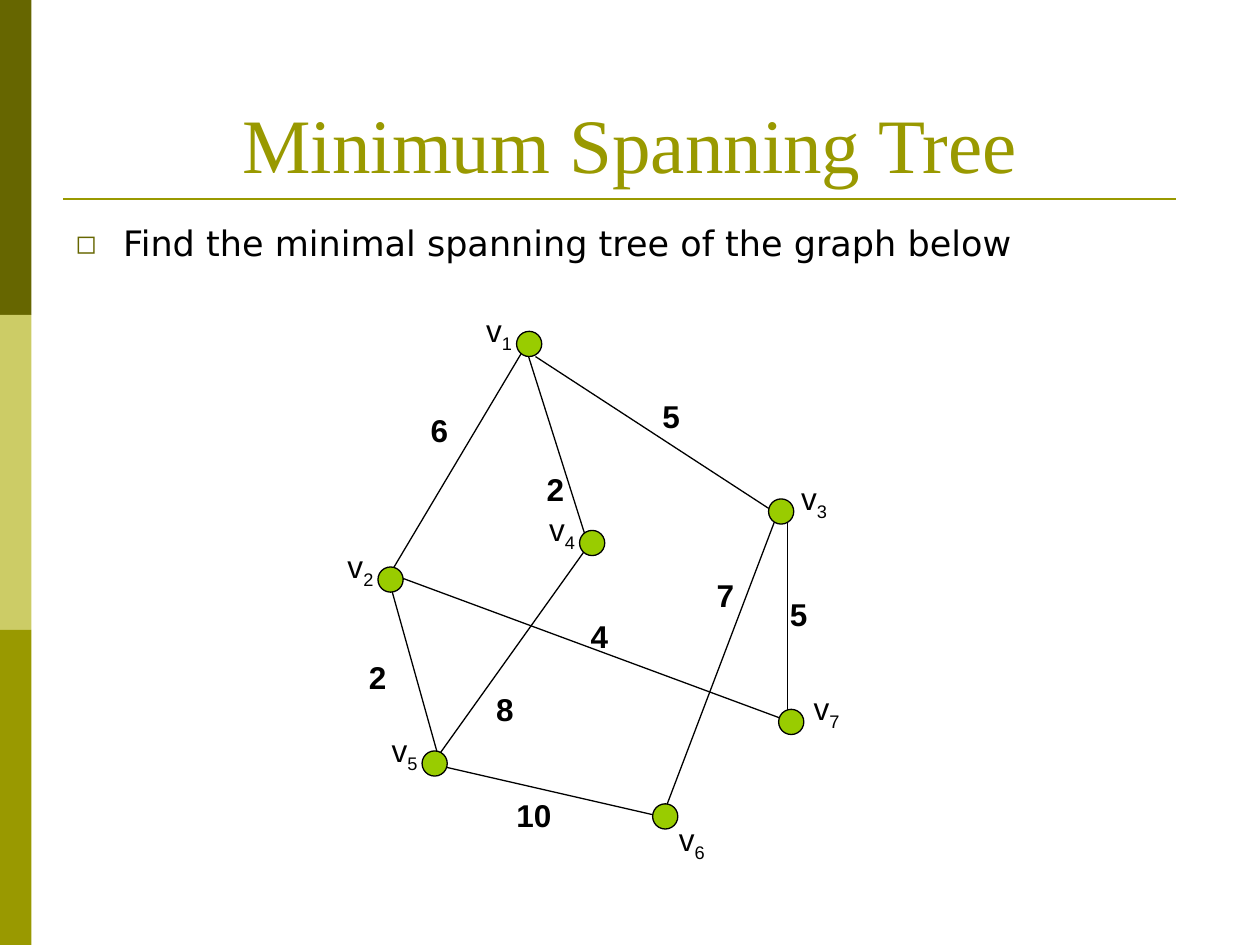
from dataclasses import dataclass

from lxml.etree import SubElement
from pptx import Presentation
from pptx.dml.color import RGBColor
from pptx.enum.shapes import MSO_CONNECTOR, MSO_SHAPE
from pptx.enum.text import MSO_ANCHOR, MSO_AUTO_SIZE, PP_ALIGN
from pptx.oxml.ns import qn
from pptx.util import Inches, Pt


@dataclass(frozen=True)
class Theme:
    dark: str = "666600"
    pale: str = "CCCC66"
    olive: str = "999900"
    node: str = "99CC00"
    ink: str = "000000"
    title_font: str = "Times New Roman"
    body_font: str = "DejaVu Sans"
    label_font: str = "Arial"
    title_size: int = 44
    body_size: int = 20
    label_size: int = 18
    rule_width: float = 1.5
    edge_width: float = 0.75


NODE_SIZE = 0.2
LABEL_SIZE = (0.43, 0.44)
LEFT_LABEL = (-0.34, -0.21)

# name: (node left, node top, label offset from the node)
VERTICES = {
    "2": (3, 4.5, LEFT_LABEL),
    "1": (4.1, 2.63, LEFT_LABEL),
    "3": (6.1, 3.96, (0.16, -0.21)),
    "4": (4.6, 4.21, LEFT_LABEL),
    "5": (3.35, 5.96, LEFT_LABEL),
    "6": (5.18, 6.38, (0.11, 0.08)),
    "7": (6.18, 5.63, (0.18, -0.21)),
}

# start, end, weight, weight position
EDGES = [
    ((4.67, 4.33), (3.42, 6.08), "8", (3.84, 5.43)),
    ((3.17, 4.58), (6.33, 5.75), "4", (4.59, 4.85)),
    ((3.08, 4.58), (4.17, 2.75), "6", (3.32, 3.21)),
    ((3.08, 4.58), (3.5, 6.08), "2", (2.83, 5.17)),
    ((5.33, 6.5), (3.5, 6.08), "10", (4, 6.27)),
    ((6.17, 4.08), (5.25, 6.5), "7", (5.59, 4.52)),
    ((6.25, 4.08), (6.25, 5.75), "5", (6.17, 4.67)),
    ((4.25, 2.83), (6.17, 4.08), "5", (5.16, 3.1)),
    ((4.17, 2.75), (4.67, 4.33), "2", (4.24, 3.68)),
]


class SlideBuilder:
    def __init__(self, slide, theme):
        self.s = slide
        self.theme = theme

    def shape(self, shapes, kind, box, fill, outline=None):
        sp = shapes.add_shape(kind, *map(Inches, box))
        sp.shadow.inherit = False
        sp.fill.solid()
        sp.fill.fore_color.rgb = RGBColor.from_string(fill)
        if outline:
            sp.line.color.rgb = RGBColor.from_string(outline)
            sp.line.width = Pt(self.theme.edge_width)
        else:
            sp.line.fill.background()

    def line(self, start, end, color, width):
        cn = self.s.shapes.add_connector(
            MSO_CONNECTOR.STRAIGHT, *map(Inches, start + end))
        cn.line.color.rgb = RGBColor.from_string(color)
        cn.line.width = Pt(width)
        SubElement(cn._element.spPr, qn("a:effectLst"))

    def textbox(self, shapes, box, wrap):
        """Add an empty text box and return its text frame."""
        tf = shapes.add_textbox(*map(Inches, box)).text_frame
        tf.word_wrap = wrap
        return tf

    def run(self, p, text, font, size, color, bold=False):
        r = p.add_run()
        r.text = text
        r.font.name = font
        r.font.size = Pt(size)
        r.font.bold = bold
        r.font.color.rgb = RGBColor.from_string(color)
        return r

    def title(self, text, box):
        t = self.theme
        tf = self.textbox(self.s.shapes, box, True)
        tf.vertical_anchor = MSO_ANCHOR.BOTTOM
        p = tf.paragraphs[0]
        p.alignment = PP_ALIGN.CENTER
        self.run(p, text, t.title_font, t.title_size, t.olive)

    def bullet(self, text, box):
        t = self.theme
        p = self.textbox(self.s.shapes, box, True).paragraphs[0]
        p.line_spacing = 0.9
        p.space_before = Pt(5)
        pPr = p._p.get_or_add_pPr()
        pPr.set("marL", str(Inches(0.38)))
        pPr.set("indent", str(-Inches(0.38)))
        color = SubElement(pPr, qn("a:buClr"))
        SubElement(color, qn("a:srgbClr"), val=t.dark)
        SubElement(pPr, qn("a:buSzPct"), val="75000")
        SubElement(pPr, qn("a:buFont"), typeface=t.body_font)
        SubElement(pPr, qn("a:buChar"), char="◻")
        self.run(p, text, t.body_font, t.body_size, t.ink)

    def label(self, shapes, text, box, subscript=None, bold=False):
        t = self.theme
        tf = self.textbox(shapes, box, False)
        tf.auto_size = MSO_AUTO_SIZE.SHAPE_TO_FIT_TEXT
        p = tf.paragraphs[0]
        style = (t.label_font, t.label_size, t.ink, bold)
        self.run(p, text, *style)
        if subscript:
            r = self.run(p, subscript, *style)
            r._r.get_or_add_rPr().set("baseline", "-25000")

    def vertex(self, name, x, y, offset):
        t = self.theme
        shapes = self.s.shapes.add_group_shape().shapes
        self.shape(shapes, MSO_SHAPE.FLOWCHART_CONNECTOR,
                   (x, y, NODE_SIZE, NODE_SIZE), t.node, t.ink)
        dx, dy = offset
        self.label(shapes, "v", (x + dx, y + dy, *LABEL_SIZE), subscript=name)

    def weight(self, text, position):
        width = 0.2 + 0.14 * len(text)
        self.label(self.s.shapes, text, (*position, width, 0.4), bold=True)

    def side_bands(self):
        t = self.theme
        for i, color in enumerate((t.dark, t.pale, t.olive)):
            self.shape(self.s.shapes, MSO_SHAPE.RECTANGLE,
                       (0, 2.5 * i, 0.25, 2.5), color)


def main():
    prs = Presentation()
    prs.slide_width, prs.slide_height = Inches(10), Inches(7.5)
    theme = Theme()
    b = SlideBuilder(prs.slides.add_slide(prs.slide_layouts[6]), theme)

    b.side_bands()
    b.line((0.5, 1.58), (9.33, 1.58), theme.olive, theme.rule_width)
    for start, end, _, _ in EDGES:
        b.line(start, end, theme.ink, theme.edge_width)
    b.title("Minimum Spanning Tree", (0.5, 0.3, 9, 1.25))
    b.bullet("Find the minimal spanning tree of the graph below",
             (0.5, 1.75, 9, 0.67))
    for name, (x, y, offset) in VERTICES.items():
        b.vertex(name, x, y, offset)
    for _, _, weight, position in EDGES:
        b.weight(weight, position)

    prs.save("out.pptx")


if __name__ == "__main__":
    main()
